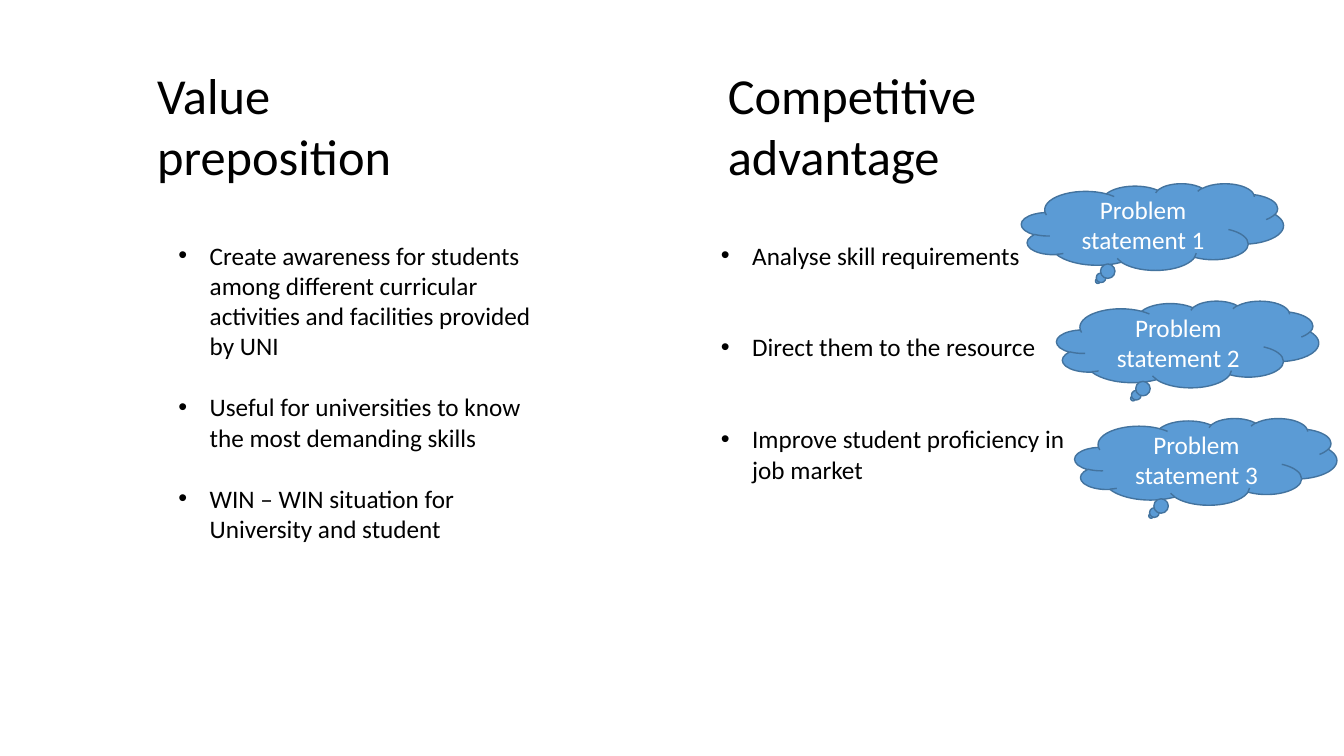
from pptx import Presentation
from pptx import util as u
from pptx.dml.color import RGBColor
from pptx.enum import shapes, text

WIDE, HIGH = u.Inches(13.33), u.Inches(7.5)
BLACK = RGBColor(0x00, 0x00, 0x00)
WHITE = RGBColor(0xFF, 0xFF, 0xFF)
BLUE = RGBColor(0x5B, 0x9B, 0xD5)
EDGE = RGBColor(0x43, 0x73, 0x9E)
FONT = "Calibri"
HEAD_TOP, HEAD_HIGH = 7.87, 17.47
LIST_TOP, LIST_WIDE = 31.07, 28.36
CLOUD_TOP, CLOUD_STEP = 24.27, 15.53
CLOUD_WIDE, CLOUD_HIGH = 19.5, 11.47
INDENT = u.Inches(0.31)

VALUES = [
    "Create awareness for students among different curricular "
    "activities and facilities provided by UNI",
    "Useful for universities to know the most demanding skills",
    "WIN – WIN situation for University and student",
]
EDGES = [
    "Analyse skill requirements",
    "Direct them to the resource",
    "Improve student proficiency in job market",
]
CLOUD_LEFTS = [76, 78.62, 79.97]


def area(left, top, wide, high):
    return (int(WIDE * left / 100), int(HIGH * top / 100),
            int(WIDE * wide / 100), int(HIGH * high / 100))


def place(shape, box):
    shape.left, shape.top, shape.width, shape.height = box


def style(para, size, color, align):
    para.font.name = FONT
    para.font.size = u.Pt(size)
    para.font.color.rgb = color
    para.alignment = align
    para.line_spacing = 1.0
    para.space_before = u.Pt(0)


def fit(frame, anchor):
    frame.word_wrap = True
    frame.auto_size = text.MSO_AUTO_SIZE.NONE
    frame.vertical_anchor = anchor


def heading(shape, words):
    frame = shape.text_frame
    frame.text = words
    fit(frame, text.MSO_ANCHOR.TOP)
    style(frame.paragraphs[0], 36, BLACK, text.PP_ALIGN.LEFT)


def bullets(shape, items, gap):
    frame = shape.text_frame
    frame.text = "\n".join(items)
    fit(frame, text.MSO_ANCHOR.TOP)
    for i, para in enumerate(frame.paragraphs):
        style(para, 18, BLACK, text.PP_ALIGN.LEFT)
        para.space_before = u.Pt(gap if i else 0)
        props = para._p.get_or_add_pPr()
        props.set("marL", str(INDENT))
        props.set("indent", str(-INDENT))


def cloud(slide, words, box):
    shape = slide.shapes.add_shape(shapes.MSO_SHAPE.CLOUD_CALLOUT, *box)
    shape.shadow.inherit = False
    shape.fill.solid()
    shape.fill.fore_color.rgb = BLUE
    shape.line.color.rgb = EDGE
    shape.line.width = u.Pt(1)
    frame = shape.text_frame
    frame.text = words
    fit(frame, text.MSO_ANCHOR.MIDDLE)
    style(frame.paragraphs[0], 18, WHITE, text.PP_ALIGN.CENTER)


def main():
    deck = Presentation()
    deck.slide_width, deck.slide_height = WIDE, HIGH
    slide = deck.slides.add_slide(deck.slide_layouts.get_by_name("Two Content"))
    title, left, right = slide.placeholders

    place(title, area(10.95, HEAD_TOP, 20.1, HEAD_HIGH))
    heading(title, "Value preposition")
    place(left, area(12.53, LIST_TOP, LIST_WIDE, 41.73))
    bullets(left, VALUES, 22)

    rival = slide.shapes.add_textbox(*area(53.41, HEAD_TOP, 22.58, HEAD_HIGH))
    heading(rival, "Competitive advantage")
    place(right, area(52.89, LIST_TOP, LIST_WIDE, 33.6))
    bullets(right, EDGES, 44)

    for i, x in enumerate(CLOUD_LEFTS):
        y = CLOUD_TOP + i * CLOUD_STEP
        cloud(slide, f"Problem statement {i + 1}",
              area(x, y, CLOUD_WIDE, CLOUD_HIGH))
    deck.save("out.pptx")


if __name__ == "__main__":
    main()
